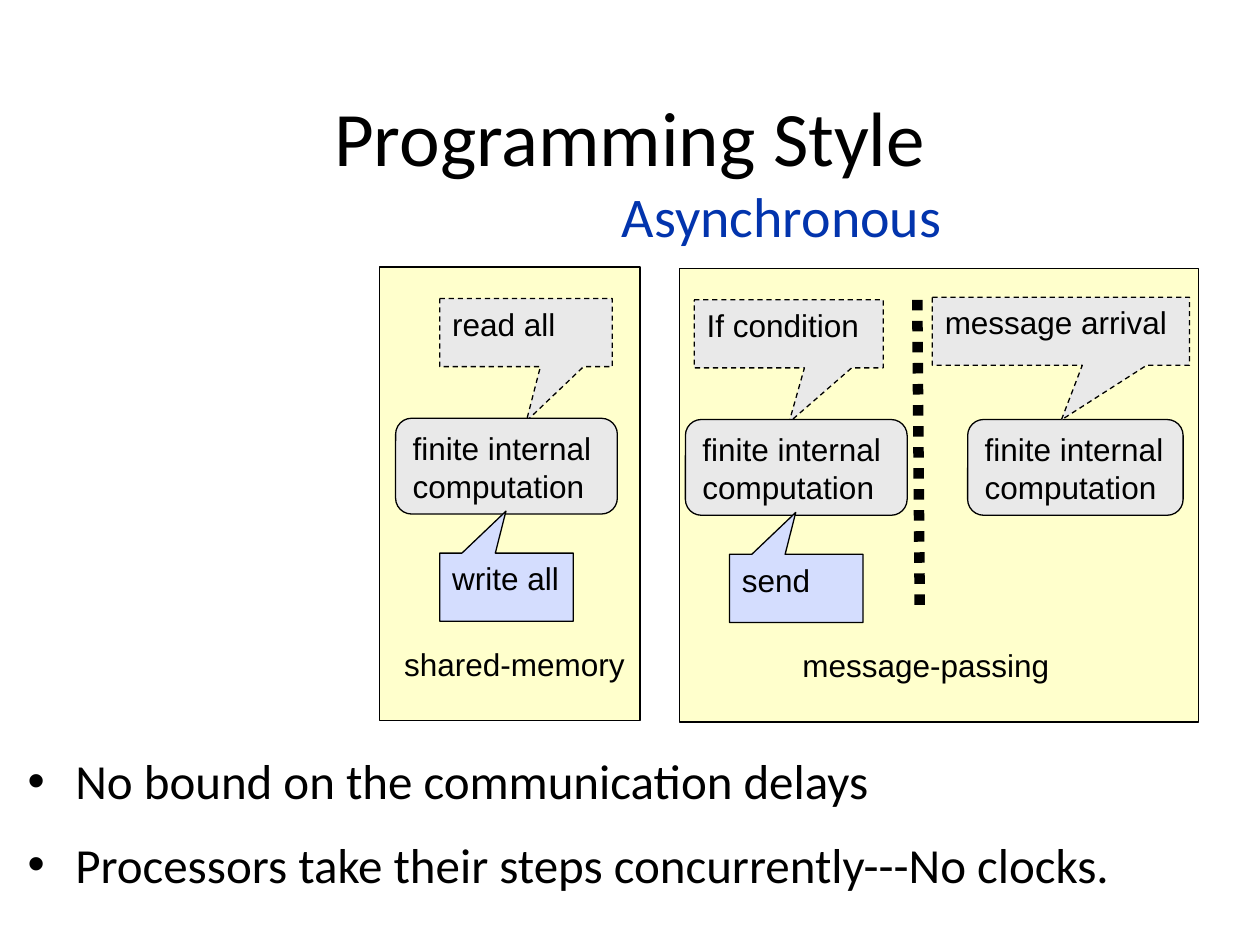
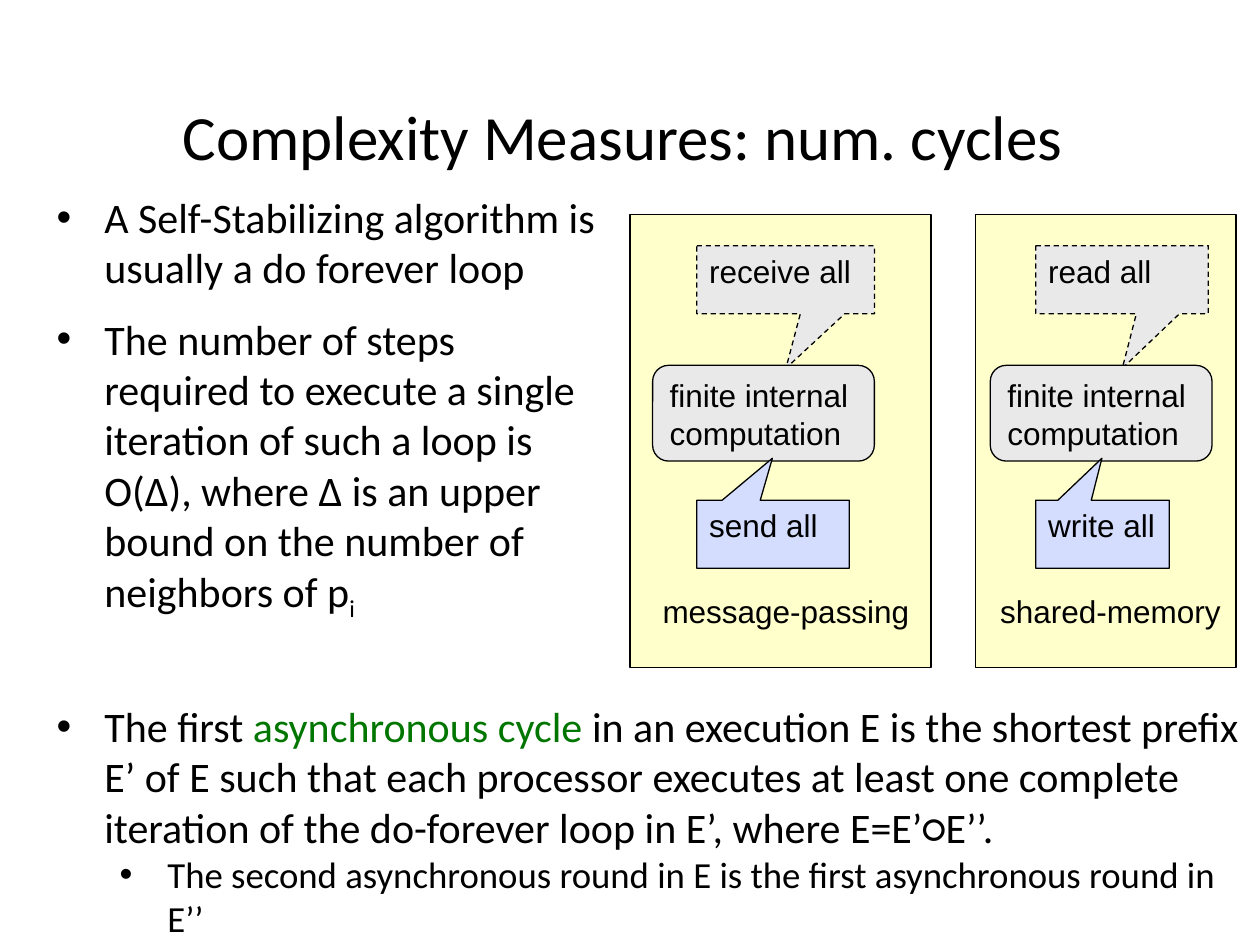
"""Build two slides on asynchronous programming style and cycle complexity."""
from lxml import etree
from pptx import Presentation
from pptx.dml.color import RGBColor
from pptx.enum import dml, shapes, text
from pptx.oxml import ns
from pptx.util import Inches, Pt

BLACK = RGBColor(0x00, 0x00, 0x00)
CREAM = RGBColor(0xFF, 0xFF, 0xCC)
GREY = RGBColor(0xE9, 0xE9, 0xE9)
LILAC = RGBColor(0xD4, 0xDD, 0xFE)
BLUE = RGBColor(0x02, 0x34, 0xAD)
GREEN = RGBColor(0x00, 0x76, 0x00)
HEAD, BODY = "Calibri", "Arial"
FORM = shapes.MSO_SHAPE
BOX, ROUND, CALL = FORM.RECTANGLE, FORM.ROUNDED_RECTANGLE, FORM.RECTANGULAR_CALLOUT
DOWN, UP = (0.002, 1.302), (-0.004, -1.116)
WORK = "finite internal computation"
TALL, FOOT = 3.6, 2.95

# kind: form, drop below panel top, height, fill, dashed, tip
KINDS = {
    "ask": (CALL, 0.25, 0.54, GREY, True, DOWN),
    "event": (CALL, 0.23, 0.54, GREY, True, DOWN),
    "work": (ROUND, 1.2, 0.76, GREY, False, None),
    "act": (CALL, 2.27, 0.54, LILAC, False, UP),
}

# panel: left, top, width, label, label left, label width, parts (kind, text, left, width)
STYLE = [
    (3.01, 2.12, 2.07, "shared-memory", 3.11, 2.04, [
        ("ask", "read all", 3.49, 1.37),
        ("work", WORK, 3.14, 1.76),
        ("act", "write all", 3.49, 1.06)]),
    (5.39, 2.13, 4.12, "message-passing", 6.27, 2.18, [
        ("work", WORK, 7.68, 1.71),
        ("ask", "If condition", 5.51, 1.5),
        ("work", WORK, 5.44, 1.76),
        ("act", "send", 5.79, 1.06),
        ("event", "message arrival", 7.4, 2.04)]),
]
CYCLES = [
    (5, 1.7, 2.39, "message-passing", 5.16, 2.18, [
        ("ask", "receive all", 5.53, 1.41),
        ("work", WORK, 5.18, 1.76),
        ("act", "send all", 5.53, 1.21)]),
    (7.74, 1.7, 2.07, "shared-memory", 7.84, 2.04, [
        ("ask", "read all", 8.22, 1.37),
        ("work", WORK, 7.86, 1.76),
        ("act", "write all", 8.22, 1.06)]),
]

# bullet: level, size, runs (text, colour, baseline)
DELAYS = [
    (0, 28, [("No bound on the communication delays", BLACK, 0)]),
    (0, 28, [("Processors take their steps concurrently---No clocks.", BLACK, 0)]),
]
LOOP = [
    (0, 24, [("A Self-Stabilizing algorithm is usually a do forever loop", BLACK, 0)]),
    (0, 24, [("The number of steps required to execute a single iteration of such a "
              "loop is O(Δ), where Δ is an upper bound on the number of neighbors of p",
              BLACK, 0), ("i", BLACK, -25000)]),
]
FIRST = [
    (0, 24, [("The first ", BLACK, 0), ("asynchronous cycle ", GREEN, 0),
             ("in an execution E is the shortest prefix E’ of E such that each "
              "processor executes at least one complete iteration of the do-forever "
              "loop in E’, where E=E’○E’’.", BLACK, 0)]),
    (1, 21, [("The second asynchronous round in E is the first asynchronous round "
              "in E’’", BLACK, 0)]),
]


def style(run, size, face, tint=BLACK):
    """Set the font of a run."""
    run.font.size, run.font.name = Pt(size), face
    run.font.color.rgb = tint


def write(shape, words, size, face, tint=BLACK, align=text.PP_ALIGN.LEFT):
    """Fill a shape with one paragraph of plain text."""
    para = shape.text_frame
    para.text = words
    para = para.paragraphs[0]
    para.alignment = align
    style(para.runs[0], size, face, tint)


def label(slide, left, top, wide, high, wrap=True):
    """Add an empty text box."""
    box = slide.shapes.add_textbox(*map(Inches, (left, top, wide, high)))
    box.text_frame.word_wrap = wrap
    return box


def block(slide, form, at, fill, dash=False):
    """Add a filled, outlined shape without shadow."""
    shape = slide.shapes.add_shape(form, *map(Inches, at))
    shape.shadow.inherit = False
    shape.fill.solid()
    shape.fill.fore_color.rgb = fill
    shape.line.color.rgb = BLACK
    shape.line.width = Pt(0.75)
    if dash:
        shape.line.dash_style = dml.MSO_LINE.DASH
    shape.text_frame.vertical_anchor = text.MSO_ANCHOR.TOP
    return shape


def panel(slide, left, top, wide, name, start, span, parts):
    """Draw one model of computation."""
    block(slide, BOX, (left, top, wide, TALL), CREAM)
    write(label(slide, start, top + FOOT, span, 0.4, False), name, 18, BODY)
    for kind, words, x, w in parts:
        form, drop, high, fill, dash, tip = KINDS[kind]
        shape = block(slide, form, (x, top + drop, w, high), fill, dash)
        if tip:
            shape.adjustments[0], shape.adjustments[1] = tip
        write(shape, words, 18, BODY)


def bullets(slide, at, items, gap):
    """Add a bulleted list, with a gap given as a share of the text size."""
    frame = label(slide, *at).text_frame
    for i, (level, size, runs) in enumerate(items):
        para = frame.add_paragraph() if i else frame.paragraphs[0]
        para.level = level
        para.space_before = Pt(size * gap)
        props = para._p.get_or_add_pPr()
        props.set("marL", str(Inches(0.38 + 0.5 * level)))
        props.set("indent", str(Inches(-0.38)))
        etree.SubElement(props, ns.qn("a:buFont")).set("typeface", BODY)
        etree.SubElement(props, ns.qn("a:buChar")).set("char", "•")
        for words, tint, base in runs:
            run = para.add_run()
            run.text = words
            style(run, size, HEAD, tint)
            if base:
                run.font._element.set("baseline", str(base))


def divide(slide, *ends):
    """Draw the thick dotted divider."""
    line = slide.shapes.add_connector(shapes.MSO_CONNECTOR.STRAIGHT, *map(Inches, ends))
    line.line.color.rgb = BLACK
    line.line.width = Pt(6)
    line.line.dash_style = dml.MSO_LINE.ROUND_DOT
    etree.SubElement(line._element.spPr, ns.qn("a:effectLst"))


def start(deck, words, size, panels):
    """Add a titled slide with its panels."""
    slide = deck.slides.add_slide(deck.slide_layouts[5])
    title = slide.shapes.title
    title.left, title.top, title.width, title.height = map(Inches, (0.5, 0.45, 9, 1.25))
    title.text_frame.vertical_anchor = text.MSO_ANCHOR.MIDDLE
    write(title, words, size, HEAD, align=text.PP_ALIGN.CENTER)
    for item in panels:
        panel(slide, *item)
    return slide


def main():
    """Build and save the deck."""
    deck = Presentation()
    deck.slide_width, deck.slide_height = Inches(10), Inches(7.5)

    slide = start(deck, "Programming Style", 44, STYLE)
    divide(slide, 7.28, 2.38, 7.3, 4.87)
    write(label(slide, 3.01, 1.39, 6.49, 0.64), "Asynchronous ", 32, HEAD, BLUE,
          text.PP_ALIGN.CENTER)
    bullets(slide, (0.12, 5.91, 9.88, 0.99), DELAYS, 0.5)

    slide = start(deck, "Complexity Measures: num. cycles ", 36, CYCLES)
    bullets(slide, (0.35, 1.47, 4.48, 5.83), LOOP, 0.5)
    bullets(slide, (0.35, 5.51, 9.65, 1.97), FIRST, 0)

    deck.save("out.pptx")


if __name__ == "__main__":
    main()
